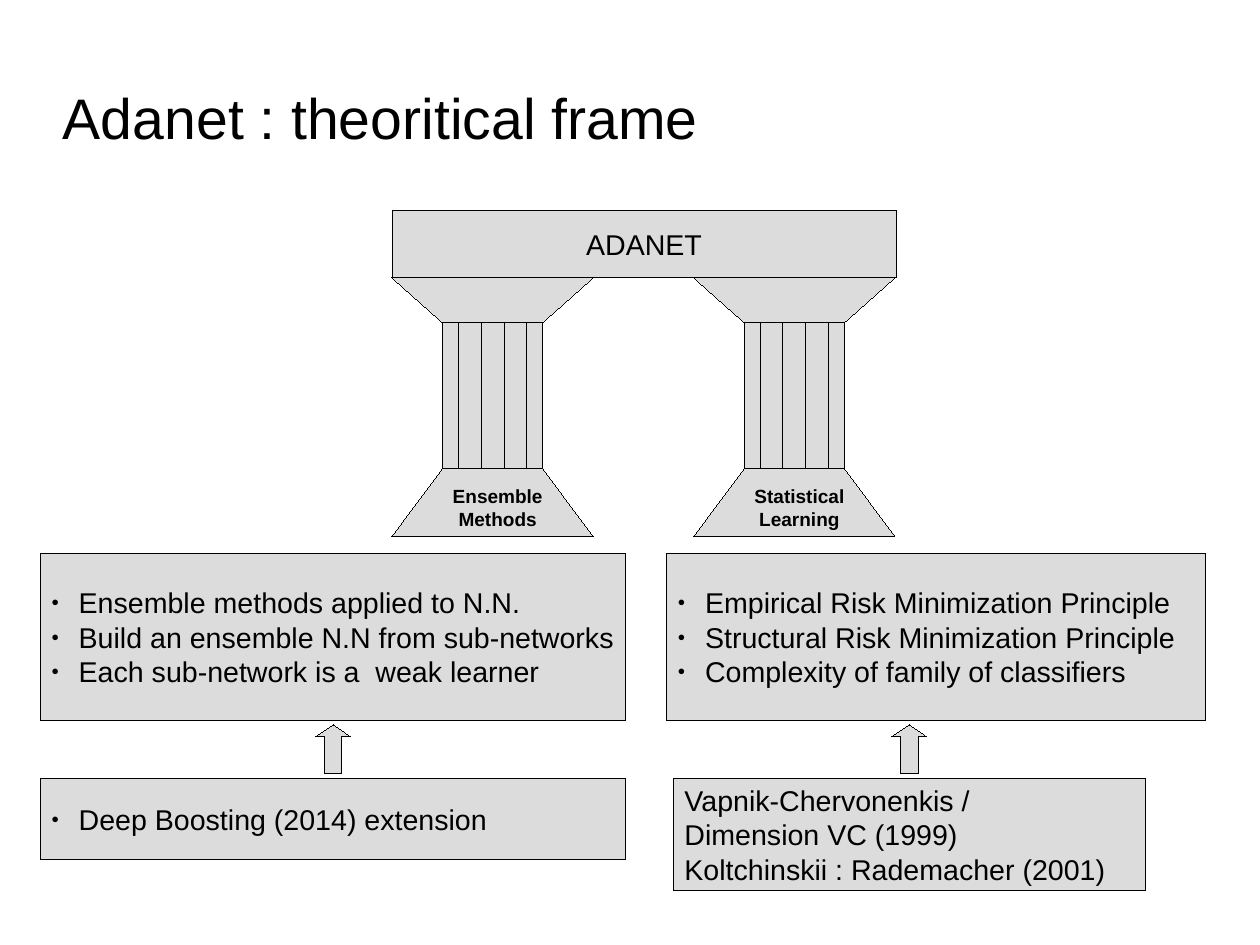
from lxml.etree import SubElement
from pptx import Presentation
from pptx.dml.color import RGBColor
from pptx.enum.shapes import MSO_CONNECTOR as Connector, MSO_SHAPE as Preset
from pptx.enum.text import MSO_ANCHOR as Anchor, MSO_AUTO_SIZE as AutoSize, PP_ALIGN as Align
from pptx.oxml.ns import qn
from pptx.util import Inches, Pt

TITLE = "Adanet : theoritical frame"
LINTEL = "ADANET"
PILLARS = [["Ensemble", "Methods"], ["Statistical", "Learning"]]
BOXES = [
    ((0.35, 4.84, 5.12, 1.46), True, [
        "Ensemble methods applied to N.N.",
        "Build an ensemble N.N from sub-networks",
        "Each sub-network is a  weak learner",
    ]),
    ((5.83, 4.84, 4.72, 1.46), True, [
        "Empirical Risk Minimization Principle",
        "Structural Risk Minimization Principle",
        "Complexity of family of classifiers",
    ]),
    ((0.35, 6.81, 5.12, 0.71), True, ["Deep Boosting (2014) extension"]),
    ((5.89, 6.81, 4.13, 0.98), False, [
        "Vapnik-Chervonenkis /",
        "Dimension VC (1999)",
        "Koltchinskii : Rademacher (2001)",
    ]),
]
ARROW_LEFTS = [2.76, 7.8]

BLACK = RGBColor(0x00, 0x00, 0x00)
GREY = RGBColor(0xDC, 0xDC, 0xDC)

CM_PER_INCH = 2.54
SLIDE_WIDTH, SLIDE_HEIGHT = 28 / CM_PER_INCH, 21 / CM_PER_INCH
TEMPLE_LEFT, TEMPLE_WIDTH = 3.43, 4.41
LINTEL_TOP, CAPITAL_TOP, SHAFT_TOP, BASE_TOP, BASE_BOTTOM = 1.84, 2.43, 2.82, 4.1, 4.69
PILLAR_STEP, PILLAR_WIDTH, SHAFT_INSET = 2.64, 1.76, 0.44
FLUTE_COUNT, FLUTE_INSET, FLUTE_STEP = 4, 0.58, 0.2


def set_all(target, values):
    for name, value in values.items():
        setattr(target, name, value)


def draw_hairline(shape):
    shape.line.color.rgb = BLACK
    shape._element.spPr.find(qn("a:ln")).set("w", "0")


def paint(shape):
    shape.shadow.inherit = False
    shape.fill.solid()
    shape.fill.fore_color.rgb = GREY
    draw_hairline(shape)
    return shape


def add_preset(shapes, preset, box):
    return paint(shapes.add_shape(preset, *map(Inches, box)))


def add_trapezoid(shapes, points):
    start, *rest = [(Inches(x), Inches(y)) for x, y in points]
    builder = shapes.build_freeform(*start)
    builder.add_line_segments(rest, close=True)
    return paint(builder.convert_to_shape())


def add_bullet(paragraph):
    properties = paragraph._p.get_or_add_pPr()
    properties.set("marL", str(Inches(0.24)))
    properties.set("indent", str(-Inches(0.24)))
    color = SubElement(properties, qn("a:buClr"))
    SubElement(color, qn("a:srgbClr"), val=str(BLACK))
    SubElement(properties, qn("a:buSzPct"), val="45000")
    SubElement(properties, qn("a:buFont"), typeface="Arial")
    SubElement(properties, qn("a:buChar"), char="●")


def write(shape, lines, size, align=Align.LEFT, anchor=Anchor.MIDDLE, bold=False, bullets=False, **frame_values):
    frame = shape.text_frame
    set_all(frame, {"word_wrap": True, "auto_size": AutoSize.NONE, "vertical_anchor": anchor, **frame_values})
    frame.text = "\n".join(lines)
    for paragraph in frame.paragraphs:
        paragraph.alignment = align
        if bullets:
            add_bullet(paragraph)
        for run in paragraph.runs:
            set_all(run.font, {"name": "Arial", "size": Pt(size), "bold": bold})
            run.font.color.rgb = BLACK


def add_pillar(shapes, left, label):
    right = left + PILLAR_WIDTH
    shaft_left, shaft_right = left + SHAFT_INSET, right - SHAFT_INSET
    add_trapezoid(shapes, [(left, BASE_BOTTOM), (right, BASE_BOTTOM),
                           (shaft_right, BASE_TOP), (shaft_left, BASE_TOP)])
    caption = shapes.add_textbox(*map(Inches, (left + 0.29, BASE_TOP, 1.27, BASE_BOTTOM - BASE_TOP)))
    write(caption, label, 12, Align.CENTER, Anchor.BOTTOM, bold=True)
    add_trapezoid(shapes, [(left, CAPITAL_TOP), (right, CAPITAL_TOP),
                           (shaft_right, SHAFT_TOP), (shaft_left, SHAFT_TOP)])
    add_preset(shapes, Preset.RECTANGLE,
               (shaft_left, SHAFT_TOP, shaft_right - shaft_left, BASE_TOP - SHAFT_TOP))
    for index in range(FLUTE_COUNT):
        x = left + FLUTE_INSET + index * FLUTE_STEP
        flute = shapes.add_connector(Connector.STRAIGHT, *map(Inches, (x, SHAFT_TOP, x, BASE_TOP)))
        draw_hairline(flute)
        SubElement(flute._element.spPr, qn("a:effectLst"))


def main():
    presentation = Presentation()
    presentation.slide_width = Inches(SLIDE_WIDTH)
    presentation.slide_height = Inches(SLIDE_HEIGHT)
    slide = presentation.slides.add_slide(presentation.slide_layouts[5])

    title = slide.shapes.title
    set_all(title, {"left": Inches(0.55), "top": Inches(0.63), "width": Inches(7.87), "height": Inches(0.79)})
    write(title, [TITLE], 36, margin_left=0, margin_top=0, margin_right=0, margin_bottom=0)

    temple = slide.shapes.add_group_shape().shapes
    lintel = add_preset(temple, Preset.RECTANGLE,
                        (TEMPLE_LEFT, LINTEL_TOP, TEMPLE_WIDTH, CAPITAL_TOP - LINTEL_TOP))
    write(lintel, [LINTEL], 18, Align.CENTER)
    for index, label in enumerate(PILLARS):
        add_pillar(temple, TEMPLE_LEFT + index * PILLAR_STEP, label)

    for box, bullets, lines in BOXES:
        panel = add_preset(slide.shapes, Preset.RECTANGLE, box)
        write(panel, lines, 18, bullets=bullets, margin_right=Inches(0.05))

    for left in ARROW_LEFTS:
        arrow = add_preset(slide.shapes, Preset.UP_ARROW, (left, 6.34, 0.31, 0.43))
        arrow.adjustments[1] = 0.34

    presentation.save("out.pptx")


if __name__ == "__main__":
    main()
